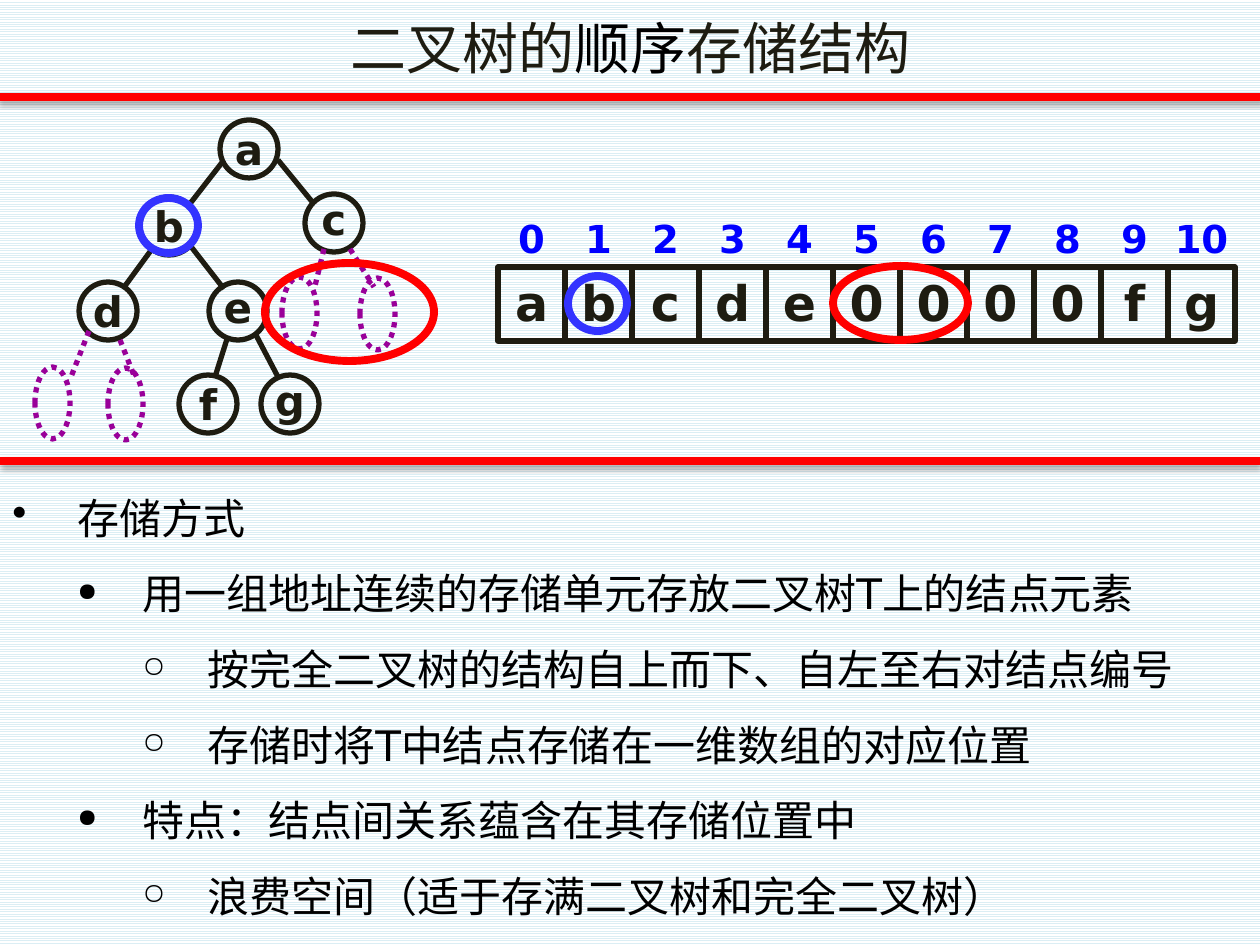
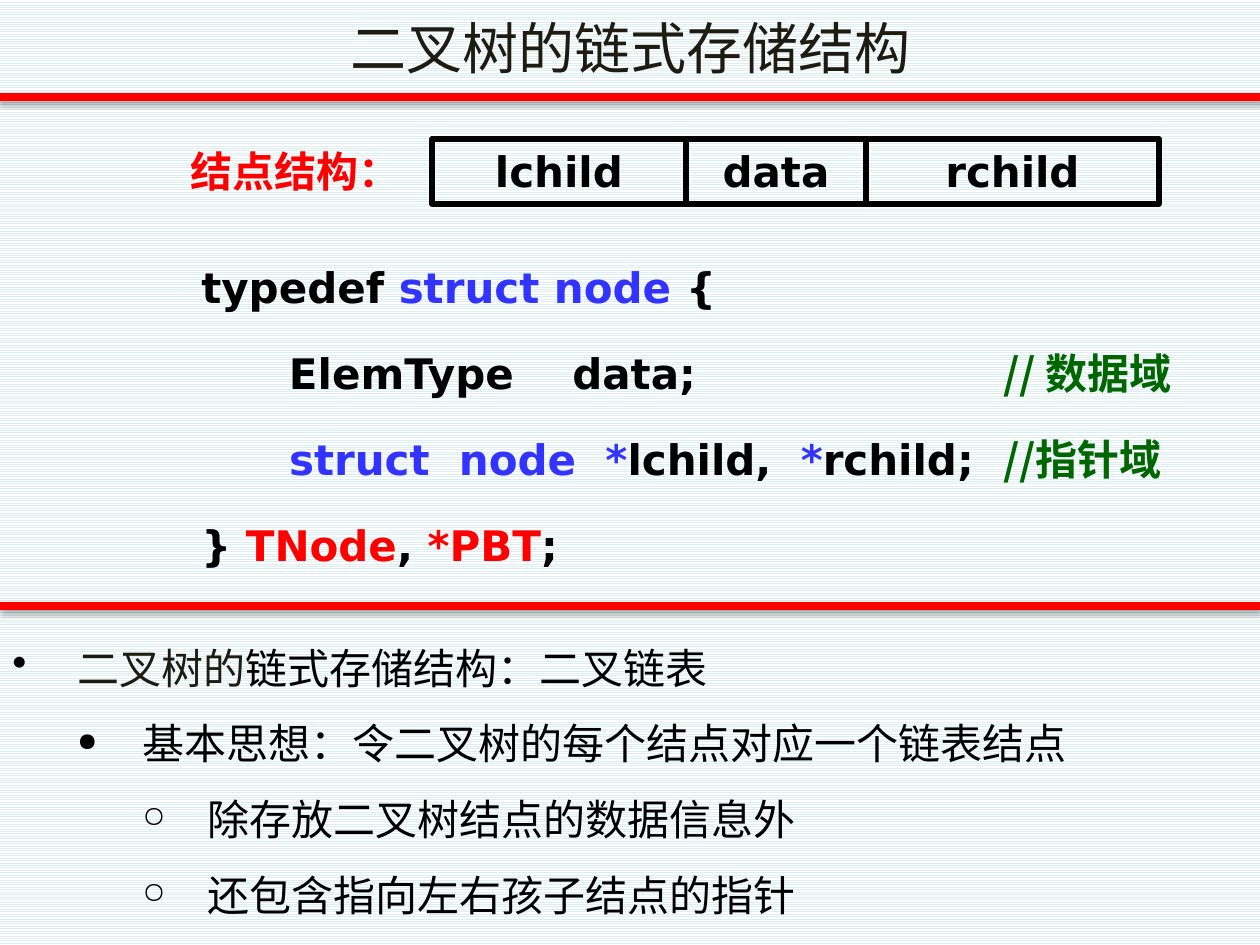
from dataclasses import dataclass

from lxml.etree import SubElement
from pptx import Presentation
from pptx.dml.color import RGBColor
from pptx.enum.dml import MSO_LINE, MSO_PATTERN
from pptx.enum.lang import MSO_LANGUAGE_ID as Language
from pptx.enum.shapes import MSO_CONNECTOR, MSO_SHAPE
from pptx.enum.text import MSO_ANCHOR as Anchor, PP_ALIGN as Align
from pptx.oxml.ns import qn
from pptx.util import Emu, Pt


@dataclass(frozen=True)
class Theme:
    font: str = "DejaVu Sans"
    comment_font: str = "Noto Sans CJK SC"
    ink: str = "1E1C11"
    black: str = "000000"
    red: str = "FF0000"
    blue: str = "3333FF"
    index_blue: str = "0000FF"
    purple: str = "990099"
    green: str = "006600"
    stripe: str = "DBEEF4"
    paper: str = "FFFFFF"
    title_size: int = 32
    text_size: int = 24
    cell_size: int = 28
    index_size: int = 22
    thin: float = 3
    thick: float = 4.5


THEME = Theme()
EMU_PER_PX = 914400 / 126
WIDTH, HEIGHT = 1260, 945
HEADER_RULE = (-1, 97, 1261, 97)

# Sequential storage
SEQUENTIAL_TITLE = [("二叉树的", THEME.ink), ("顺序", THEME.black), ("存储结构", THEME.ink)]
SEQUENTIAL_RULE_Y = 461
SEQUENTIAL_POINTS = [
    (0, [("存储方式", THEME.black)]),
    (1, [("用一组地址连续的存储单元存放二叉树T上的结点元素", THEME.black)]),
    (2, [("按完全二叉树的结构自上而下、自左至右对结点编号", THEME.black)]),
    (2, [("存储时将T中结点存储在一维数组的对应位置", THEME.black)]),
    (1, [("特点：结点间关系蕴含在其存储位置中", THEME.black)]),
    (2, [("浪费空间（适于存满二叉树和完全二叉树）", THEME.black)]),
]
NODE_SIZE = 58
NODES = {"a": (220, 120), "b": (140, 197), "c": (305, 194), "d": (79, 282),
         "e": (209, 282), "f": (179, 375), "g": (261, 375)}
RIGHT_CHILDREN = "ceg"
EDGES = [(224, 160, 189, 205), (278, 160, 314, 204), (152, 249, 125, 286),
         (189, 244, 224, 289), (227, 339, 215, 377), (256, 335, 278, 377)]
EMPTY_SIZE = (35, 72)
EMPTY_NODES = [(282, 277), (360, 278), (35, 367), (108, 368)]
EMPTY_EDGES = [(120, 340, 135, 378), (89, 331, 71, 377),
               (350, 249, 374, 287), (324, 249, 315, 286)]
ARRAY = "abcde0000fg"
ARRAY_LEFT, ARRAY_TOP, CELL_WIDTH, CELL_HEIGHT = 498, 267, 67, 74
INDEX_TOP, INDEX_HEIGHT = 214, 48
HIGHLIGHTS = [((265, 263, 169, 98), THEME.red), ((833, 266, 135, 74), THEME.red),
              ((139, 198, 59, 55), THEME.blue), ((568, 276, 59, 55), THEME.blue)]

# Linked storage
LINKED_TITLE = [("二叉树的链式存储结构", THEME.ink)]
LINKED_RULE_Y = 606
LINKED_POINTS = [
    (0, [("二叉树的", THEME.ink), ("链式存储结构：二叉链表", THEME.black)]),
    (1, [("基本思想：令二叉树的每个结点对应一个链表结点", THEME.black)]),
    (2, [("除存放二叉树结点的数据信息外", THEME.black)]),
    (2, [("还包含指向左右孩子结点的指针", THEME.black)]),
]
FIELD_LABEL = ("结点结构：", (159, 139, 273, 63))
FIELDS = [("lchild", 254), ("data", 180), ("rchild", 293)]
FIELDS_LEFT, FIELDS_TOP, FIELDS_HEIGHT = 432, 139, 65
CODE_BOX = (189, 208, 1071, 390)
CODE = [
    [("typedef ", THEME.black), ("struct node ", THEME.blue), ("{", THEME.black)],
    [("      ElemType    data;                     ", THEME.black),
     ("// 数据域", THEME.green)],
    [("      ", THEME.black), ("struct  node  *", THEME.blue), ("lchild,  ", THEME.black),
     ("*", THEME.blue), ("rchild;  ", THEME.black), ("//指针域", THEME.green)],
    [("} ", THEME.black), ("TNode", THEME.red), (", ", THEME.black),
     ("*PBT", THEME.red), (";", THEME.black)],
]

# Outline level, bullet and bullet size in percent, by depth
BULLETS = [(1, "•", 100), (1, "●", 60), (2, "○", 70)]
BULLET_INDENT = 65


def px(*lengths):
    return [Emu(round(length * EMU_PER_PX)) for length in lengths]


def rgb(colour):
    return RGBColor.from_string(colour)


def add_runs(paragraph, runs, size, bold=False):
    for text, colour in runs:
        run = paragraph.add_run()
        run.text = text
        font = run.font
        font.size, font.bold = Pt(size), bold
        font.name = THEME.comment_font if colour == THEME.green else THEME.font
        font.color.rgb = rgb(colour)
        font.language_id = Language.SIMPLIFIED_CHINESE


def set_label(shape, text, colour, size, anchor=Anchor.MIDDLE, tight=True):
    """Write one centred bold label; a tight one has no insets and does not wrap."""
    frame = shape.text_frame
    frame.word_wrap = not tight
    frame.vertical_anchor = anchor
    if tight:
        frame.margin_left = frame.margin_right = frame.margin_top = frame.margin_bottom = 0
    paragraph = frame.paragraphs[0]
    paragraph.alignment = Align.CENTER
    add_runs(paragraph, [(text, colour)], size, bold=True)


def style_line(line, colour, width, dotted):
    line.color.rgb = rgb(colour)
    line.width = Pt(width)
    if dotted:
        line.dash_style = MSO_LINE.ROUND_DOT


def add_outline(shapes, kind, box, colour, width=THEME.thin, dotted=False):
    shape = shapes.add_shape(kind, *px(*box))
    shape.shadow.inherit = False
    shape.fill.background()
    style_line(shape.line, colour, width, dotted)
    return shape


def add_line(shapes, ends, colour, width=THEME.thin, dotted=False):
    """Add a straight line and return its empty effect list."""
    connector = shapes.add_connector(MSO_CONNECTOR.STRAIGHT, *px(*ends))
    style_line(connector.line, colour, width, dotted)
    return SubElement(connector._element.spPr, qn("a:effectLst"))


def add_rule(shapes, ends):
    effects = add_line(shapes, ends, THEME.red, THEME.thick)
    shadow = SubElement(effects, qn("a:outerShdw"), blurRad="40000", dist="23000",
                        dir="5400000", rotWithShape="0")
    colour = SubElement(shadow, qn("a:srgbClr"), val=THEME.black)
    SubElement(colour, qn("a:alpha"), val="35000")


def add_bullet(paragraph, depth):
    level, character, percent = BULLETS[depth]
    paragraph.level = level
    properties = paragraph._p.get_or_add_pPr()
    margin, indent = px(BULLET_INDENT * (depth + 1), -BULLET_INDENT)
    properties.set("marL", str(margin))
    properties.set("indent", str(indent))
    colour = SubElement(properties, qn("a:buClr"))
    SubElement(colour, qn("a:srgbClr"), val=THEME.black)
    SubElement(properties, qn("a:buSzPct"), val=str(percent * 1000))
    SubElement(properties, qn("a:buChar"), char=character)


def add_paragraphs(frame, count):
    """Return the first paragraph of the frame and as many new ones as needed."""
    frame.word_wrap = True
    paragraphs = [frame.paragraphs[0]] + [frame.add_paragraph() for _ in range(count - 1)]
    for paragraph in paragraphs:
        paragraph.line_spacing = 1.5
    return paragraphs


def add_points(slide, points, top):
    frame = slide.shapes.add_textbox(*px(0, top, WIDTH, HEIGHT - 4 - top)).text_frame
    for paragraph, (depth, runs) in zip(add_paragraphs(frame, len(points)), points):
        add_bullet(paragraph, depth)
        add_runs(paragraph, runs, THEME.text_size)


def add_titled_slide(presentation, title_runs):
    slide = presentation.slides.add_slide(presentation.slide_layouts[5])
    add_rule(slide.shapes, HEADER_RULE)
    title = slide.shapes.title
    title.left, title.top, title.width, title.height = px(0, 6, 1261, 82)
    title.text_frame.vertical_anchor = Anchor.MIDDLE
    paragraph = title.text_frame.paragraphs[0]
    paragraph.alignment = Align.CENTER
    add_runs(paragraph, title_runs, THEME.title_size)
    return slide


def add_tree(slide):
    shapes = slide.shapes.add_group_shape().shapes
    for name, corner in NODES.items():
        node = add_outline(shapes, MSO_SHAPE.OVAL, (*corner, NODE_SIZE, NODE_SIZE), THEME.ink)
        anchor = Anchor.BOTTOM if name in RIGHT_CHILDREN else Anchor.MIDDLE
        set_label(node, name, THEME.ink, THEME.text_size, anchor)
    for ends in EDGES:
        add_line(shapes, ends, THEME.ink)
    for corner in EMPTY_NODES:
        add_outline(shapes, MSO_SHAPE.OVAL, (*corner, *EMPTY_SIZE), THEME.purple, dotted=True)
    for ends in EMPTY_EDGES:
        add_line(shapes, ends, THEME.purple, dotted=True)


def add_array(slide):
    shapes = slide.shapes.add_group_shape().shapes
    frame = (ARRAY_LEFT, ARRAY_TOP, CELL_WIDTH * len(ARRAY), CELL_HEIGHT)
    add_outline(shapes, MSO_SHAPE.RECTANGLE, frame, THEME.ink)
    for border in range(len(ARRAY) + 1):
        x = ARRAY_LEFT + border * CELL_WIDTH
        add_line(shapes, (x, ARRAY_TOP, x, ARRAY_TOP + CELL_HEIGHT), THEME.ink)
    for index, value in enumerate(ARRAY):
        x = ARRAY_LEFT + index * CELL_WIDTH
        cell = shapes.add_textbox(*px(x, ARRAY_TOP, CELL_WIDTH, CELL_HEIGHT - 4))
        set_label(cell, value, THEME.ink, THEME.cell_size)
        number = shapes.add_textbox(*px(x, INDEX_TOP, CELL_WIDTH, INDEX_HEIGHT))
        set_label(number, str(index), THEME.index_blue, THEME.index_size)


def add_node_fields(slide):
    shapes = slide.shapes.add_group_shape().shapes
    text, box = FIELD_LABEL
    label = shapes.add_textbox(*px(*box))
    set_label(label, text, THEME.red, THEME.text_size, Anchor.TOP, tight=False)
    left = FIELDS_LEFT
    for name, width in FIELDS:
        field = add_outline(shapes, MSO_SHAPE.RECTANGLE,
                            (left, FIELDS_TOP, width, FIELDS_HEIGHT), THEME.black)
        set_label(field, name, THEME.black, THEME.text_size, Anchor.TOP, tight=False)
        left += width


def add_code(slide):
    frame = slide.shapes.add_textbox(*px(*CODE_BOX)).text_frame
    frame.vertical_anchor = Anchor.MIDDLE
    for row, paragraph in enumerate(add_paragraphs(frame, len(CODE))):
        paragraph.space_before = Pt(6 if row else 0)
        add_runs(paragraph, CODE[row], THEME.text_size, bold=True)


def build_sequential(presentation):
    slide = add_titled_slide(presentation, SEQUENTIAL_TITLE)
    add_points(slide, SEQUENTIAL_POINTS, SEQUENTIAL_RULE_Y)
    add_tree(slide)
    add_array(slide)
    for box, colour in HIGHLIGHTS:
        add_outline(slide.shapes, MSO_SHAPE.OVAL, box, colour, THEME.thick)
    add_rule(slide.shapes, (0, SEQUENTIAL_RULE_Y, WIDTH, SEQUENTIAL_RULE_Y))


def build_linked(presentation):
    slide = add_titled_slide(presentation, LINKED_TITLE)
    add_points(slide, LINKED_POINTS, LINKED_RULE_Y + 5)
    add_node_fields(slide)
    add_code(slide)
    add_rule(slide.shapes, (0, LINKED_RULE_Y, WIDTH, LINKED_RULE_Y))


def main():
    presentation = Presentation()
    presentation.slide_width, presentation.slide_height = px(WIDTH, HEIGHT)
    background = presentation.slide_master.background.fill
    background.patterned()
    background.pattern = MSO_PATTERN.LIGHT_HORIZONTAL
    background.fore_color.rgb = rgb(THEME.stripe)
    background.back_color.rgb = rgb(THEME.paper)
    build_sequential(presentation)
    build_linked(presentation)
    presentation.save("out.pptx")


if __name__ == "__main__":
    main()
